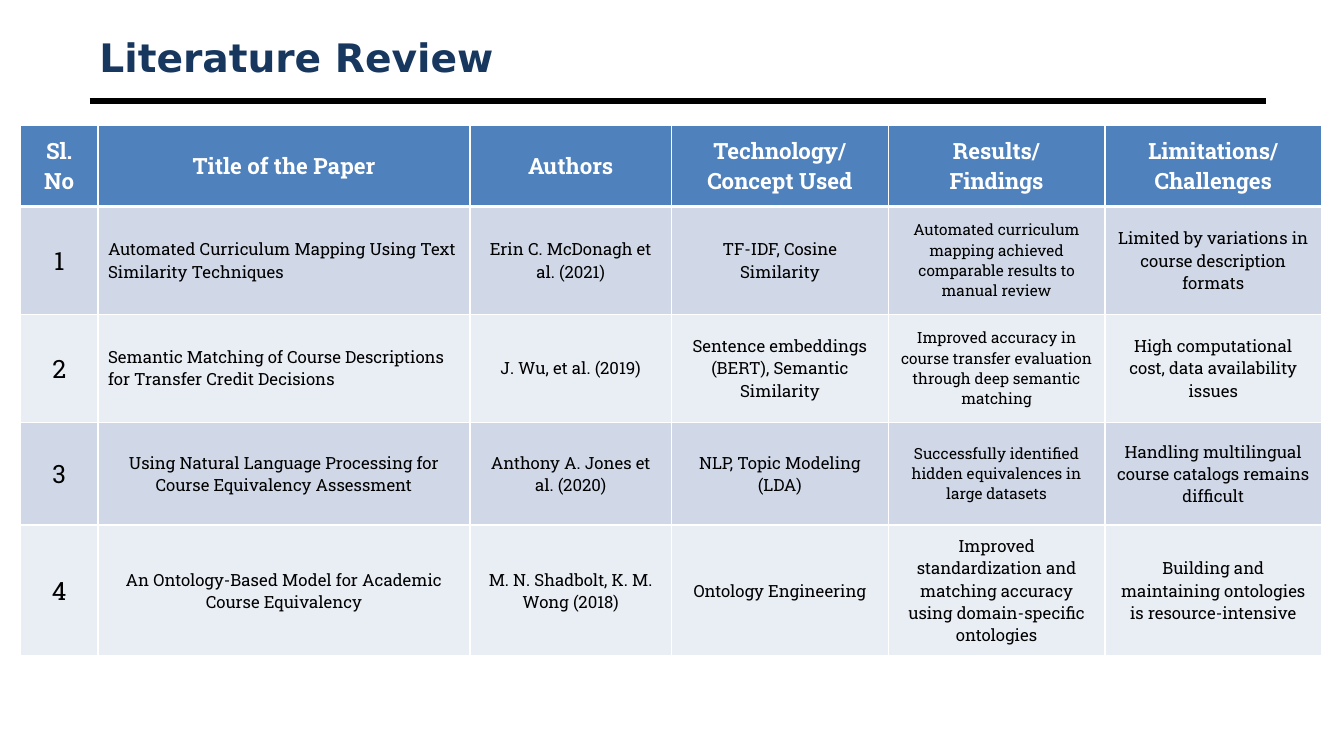
import lxml.etree
import pptx
import pptx.dml.color
import pptx.enum.shapes
import pptx.enum.text
import pptx.oxml.ns
import pptx.util

Pt = pptx.util.Pt
RGBColor = pptx.dml.color.RGBColor
ALIGN = pptx.enum.text.PP_ALIGN
MIDDLE = pptx.enum.text.MSO_ANCHOR.MIDDLE
qn = pptx.oxml.ns.qn

NAVY = RGBColor(0x17, 0x37, 0x5E)
BLUE = RGBColor(0x4F, 0x81, 0xBD)
BAND_DARK = RGBColor(0xD0, 0xD8, 0xE8)
BAND_LIGHT = RGBColor(0xE9, 0xED, 0xF4)
BLACK = RGBColor(0, 0, 0)
WHITE = RGBColor(255, 255, 255)

COLUMN_WIDTHS = [55.4, 265.7, 144, 154.8, 154.8, 154.8]
ROW_HEIGHTS = [58.3, 77, 77, 73.5, 93.6]
HEADERS = ["Sl. No", "Title of the Paper", "Authors", "Technology/\nConcept Used",
           "Results/\nFindings", "Limitations/\nChallenges"]
PAPERS = [
    ["1", "Automated Curriculum Mapping Using Text Similarity Techniques",
     "Erin C. McDonagh et al. (2021)", "TF-IDF, Cosine Similarity",
     "Automated curriculum mapping achieved comparable results to manual review",
     "Limited by variations in course description formats"],
    ["2", "Semantic Matching of Course Descriptions for Transfer Credit Decisions",
     "J. Wu, et al. (2019)", "Sentence embeddings (BERT), Semantic Similarity",
     "Improved accuracy in course transfer evaluation through deep semantic matching",
     "High computational cost, data availability issues"],
    ["3", "Using Natural Language Processing for Course Equivalency Assessment",
     "Anthony A. Jones et al. (2020)", "NLP, Topic Modeling (LDA)",
     "Successfully identified hidden equivalences in large datasets",
     "Handling multilingual course catalogs remains difficult"],
    ["4", "An Ontology-Based Model for Academic Course Equivalency",
     "M. N. Shadbolt, K. M. Wong (2018)", "Ontology Engineering",
     "Improved standardization and matching accuracy using domain-specific ontologies",
     "Building and maintaining ontologies is resource-intensive"],
]


def write_text(frame, text, *, size, font="Roboto Slab", color=BLACK, bold=False,
               align=ALIGN.CENTER):
    frame.word_wrap = True
    frame.text = text
    for paragraph in frame.paragraphs:
        paragraph.alignment = align
        for run in paragraph.runs:
            run.font.name = font
            run.font.size = Pt(size)
            run.font.bold = bold
            run.font.color.rgb = color


class SlideBuilder:
    """Holds the style and the current slide."""

    title_font = "DejaVu Sans"
    grid_width = 1
    header_rule_width = 3

    def __init__(self, slide):
        self.slide = slide

    def add_title(self, text, left, top, width, height):
        shape = self.slide.shapes.add_textbox(Pt(left), Pt(top), Pt(width), Pt(height))
        shape.text_frame.vertical_anchor = MIDDLE
        write_text(shape.text_frame, text, size=28, font=self.title_font,
                   color=NAVY, bold=True, align=ALIGN.LEFT)

    def add_rule(self, left, right, y, weight):
        line = self.slide.shapes.add_connector(
            pptx.enum.shapes.MSO_CONNECTOR.STRAIGHT, Pt(left), Pt(y), Pt(right), Pt(y))
        line.line.color.rgb = BLACK
        line.line.width = Pt(weight)
        lxml.etree.SubElement(line._element.spPr, qn("a:effectLst"))

    def add_table(self, left, top, widths, heights):
        shape = self.slide.shapes.add_table(
            len(heights), len(widths), Pt(left), Pt(top), Pt(sum(widths)), Pt(sum(heights)))
        for column, width in zip(shape.table.columns, widths):
            column.width = Pt(width)
        for row, height in zip(shape.table.rows, heights):
            row.height = Pt(height)
        return shape.table

    def fill_cell(self, cell, text, fill, top_width, bottom_width, **text_format):
        cell.vertical_anchor = MIDDLE
        write_text(cell.text_frame, text, **text_format)
        # Borders come before the fill in the cell properties
        properties = cell._tc.get_or_add_tcPr()
        edges = {"L": self.grid_width, "R": self.grid_width,
                 "T": top_width, "B": bottom_width}
        for side, width in edges.items():
            border = lxml.etree.SubElement(properties, qn(f"a:ln{side}"), w=str(Pt(width)))
            solid = lxml.etree.SubElement(border, qn("a:solidFill"))
            lxml.etree.SubElement(solid, qn("a:srgbClr"), val=str(WHITE))
        cell.fill.solid()
        cell.fill.fore_color.rgb = fill

    def add_review(self, left, top):
        table = self.add_table(left, top, COLUMN_WIDTHS, ROW_HEIGHTS)
        thin, thick = self.grid_width, self.header_rule_width
        # Header row
        for column, text in enumerate(HEADERS):
            self.fill_cell(table.cell(0, column), text, BLUE, thin, thick,
                           size=16, color=WHITE, bold=True)
        # One banded row per paper
        for row, paper in enumerate(PAPERS, start=1):
            fill = BAND_DARK if row % 2 else BAND_LIGHT
            findings_size = 11 if row < 4 else 12
            sizes = [18, 12, 12, 12, findings_size, 12]
            for column, (text, size) in enumerate(zip(paper, sizes)):
                left_aligned = column == 1 and row <= 2
                self.fill_cell(table.cell(row, column), text, fill,
                               thick if row == 1 else thin, thin, size=size,
                               align=ALIGN.LEFT if left_aligned else ALIGN.CENTER)


def main():
    presentation = pptx.Presentation()
    presentation.slide_width = Pt(960)
    presentation.slide_height = Pt(540)
    builder = SlideBuilder(presentation.slides.add_slide(presentation.slide_layouts[6]))

    # Heading
    builder.add_rule(64, 904.3, 72, 4.5)
    builder.add_title("Literature Review", 64, 21.6, 840.3, 38.2)

    # Papers
    builder.add_review(14.6, 89.3)

    presentation.save("out.pptx")


if __name__ == "__main__":
    main()
